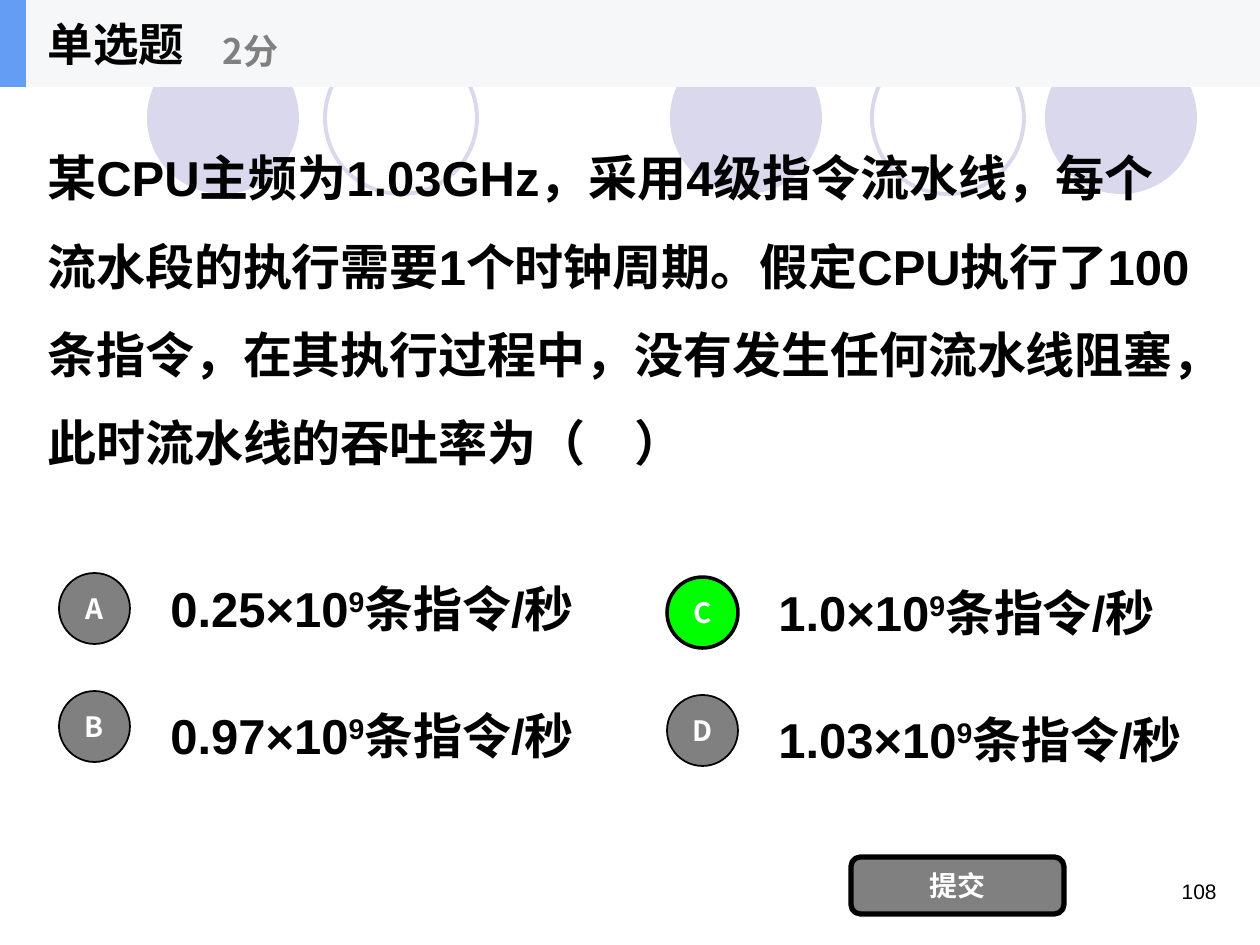
from lxml.etree import SubElement
from pptx import Presentation
from pptx.dml.color import RGBColor
from pptx.enum.shapes import MSO_SHAPE
from pptx.enum.text import MSO_ANCHOR, PP_ALIGN
from pptx.oxml.ns import qn
from pptx.util import Pt

EMU_PER_PX = 914400 / 126
CJK = "Noto Sans CJK SC"
GRAY = "808080"
BLACK = "000000"
WHITE = "FFFFFF"
LAVENDER = "D9D8EC"


def px(length):
    return round(length * EMU_PER_PX)


def rgb(value):
    return RGBColor.from_string(value)


def style(paragraph, size, color, face, bold=True, align=PP_ALIGN.LEFT, spacing=1.0):
    paragraph.alignment = align
    paragraph.line_spacing = spacing
    font = paragraph.font
    font.size = Pt(size)
    font.bold = bold
    font.color.rgb = rgb(color)
    font.name = face
    defaults = paragraph._p.pPr.find(qn("a:defRPr"))
    SubElement(defaults, qn("a:ea")).set("typeface", CJK)


def add_figure(slide, preset, box, fill=None, line=None, width=1):
    figure = slide.shapes.add_shape(preset, *map(px, box))
    figure.shadow.inherit = False
    if fill:
        figure.fill.solid()
        figure.fill.fore_color.rgb = rgb(fill)
    else:
        figure.fill.background()
    if line:
        figure.line.color.rgb = rgb(line)
        figure.line.width = Pt(width)
    else:
        figure.line.fill.background()
    return figure


def add_label(slide, box, text, size, color, face, anchor=MSO_ANCHOR.MIDDLE, **looks):
    frame = slide.shapes.add_textbox(*map(px, box)).text_frame
    frame.word_wrap = True
    frame.vertical_anchor = anchor
    paragraph = frame.paragraphs[0]
    paragraph.text = text
    style(paragraph, size, color, face, **looks)
    return paragraph


def add_button(slide, preset, box, caption, fill, width):
    button = add_figure(slide, preset, box, fill, BLACK, width)
    frame = button.text_frame
    frame.word_wrap = preset != MSO_SHAPE.OVAL
    frame.vertical_anchor = MSO_ANCHOR.MIDDLE
    frame.text = caption
    style(frame.paragraphs[0], 16, WHITE, CJK, align=PP_ALIGN.CENTER)


def draw_circles(slide, top, diameter):
    for left, filled in ((670, True), (1045, True), (147, True), (872, False), (325, False)):
        box = (left, top, diameter, diameter)
        if filled:
            add_figure(slide, MSO_SHAPE.OVAL, box, LAVENDER)
        else:
            add_figure(slide, MSO_SHAPE.OVAL, box, None, LAVENDER, 2.25)


def draw_header(slide, left, top, width, height):
    add_figure(slide, MSO_SHAPE.RECTANGLE, (left, top, width, height), "F6F7F8")
    accent = add_figure(slide, MSO_SHAPE.RECTANGLE, (left, top, 26, height), "639EF4")
    title = slide.shapes.title
    accent.element.addnext(title.element)
    title.left, title.top = px(left + 35), px(top)
    title.width, title.height = px(262), px(height)
    title.text_frame.text = "单选题"
    title.text_frame.vertical_anchor = MSO_ANCHOR.MIDDLE
    style(title.text_frame.paragraphs[0], 26, BLACK, CJK)
    add_label(slide, (left + 210, top + 15, 315, 71), "2分", 20, GRAY, CJK)


def draw_option(slide, left, top, letter, mantissa, spacing, correct):
    fill, width = ("00FF00", 2) if correct else (GRAY, 1)
    add_button(slide, MSO_SHAPE.OVAL, (left, top + 9, 71, 71), letter, fill, width)
    answer = add_label(slide, (left + 99, top, 494, 88), f"{mantissa}×10",
                       28, BLACK, "Arial", spacing=spacing)
    exponent = answer.add_run()
    exponent.text = "9"
    exponent._r.get_or_add_rPr().set("baseline", "30000")
    answer.add_run().text = "条指令/秒"


def draw_options(slide, left, top):
    columns = ((("A", "0.25"), ("B", "0.97")), (("C", "1.0"), ("D", "1.03")))
    for column, options in enumerate(columns):
        for row, (letter, mantissa) in enumerate(options):
            draw_option(slide, left + 608 * column, top + 4 * column + 118 * row,
                        letter, mantissa, (1.0, 1.3)[row], letter == "C")


def draw_footer(slide, left, top):
    add_button(slide, MSO_SHAPE.ROUNDED_RECTANGLE, (left, top, 213, 57), "提交", GRAY, 3)
    add_label(slide, (left + 84, top + 15, 294, 63), "108", 12, BLACK, "Arial",
              anchor=MSO_ANCHOR.TOP, bold=False, align=PP_ALIGN.RIGHT)


def main():
    deck = Presentation()
    deck.slide_width, deck.slide_height = px(1260), px(945)
    slide = deck.slides.add_slide(deck.slide_layouts[5])
    draw_circles(slide, 42, 152)
    draw_header(slide, 0, 0, 1260, 87)
    question = ("某CPU主频为1.03GHz，采用4级指令流水线，每个流水段的执行需要1个时钟周期。"
                "假定CPU执行了100条指令，在其执行过程中，没有发生任何流水线阻塞，"
                "此时流水线的吞吐率为（　）")
    add_label(slide, (35, 120, 1171, 350), question, 28, BLACK, "Arial", spacing=1.5)
    draw_options(slide, 59, 564)
    draw_footer(slide, 851, 857)
    deck.save("out.pptx")


if __name__ == "__main__":
    main()
